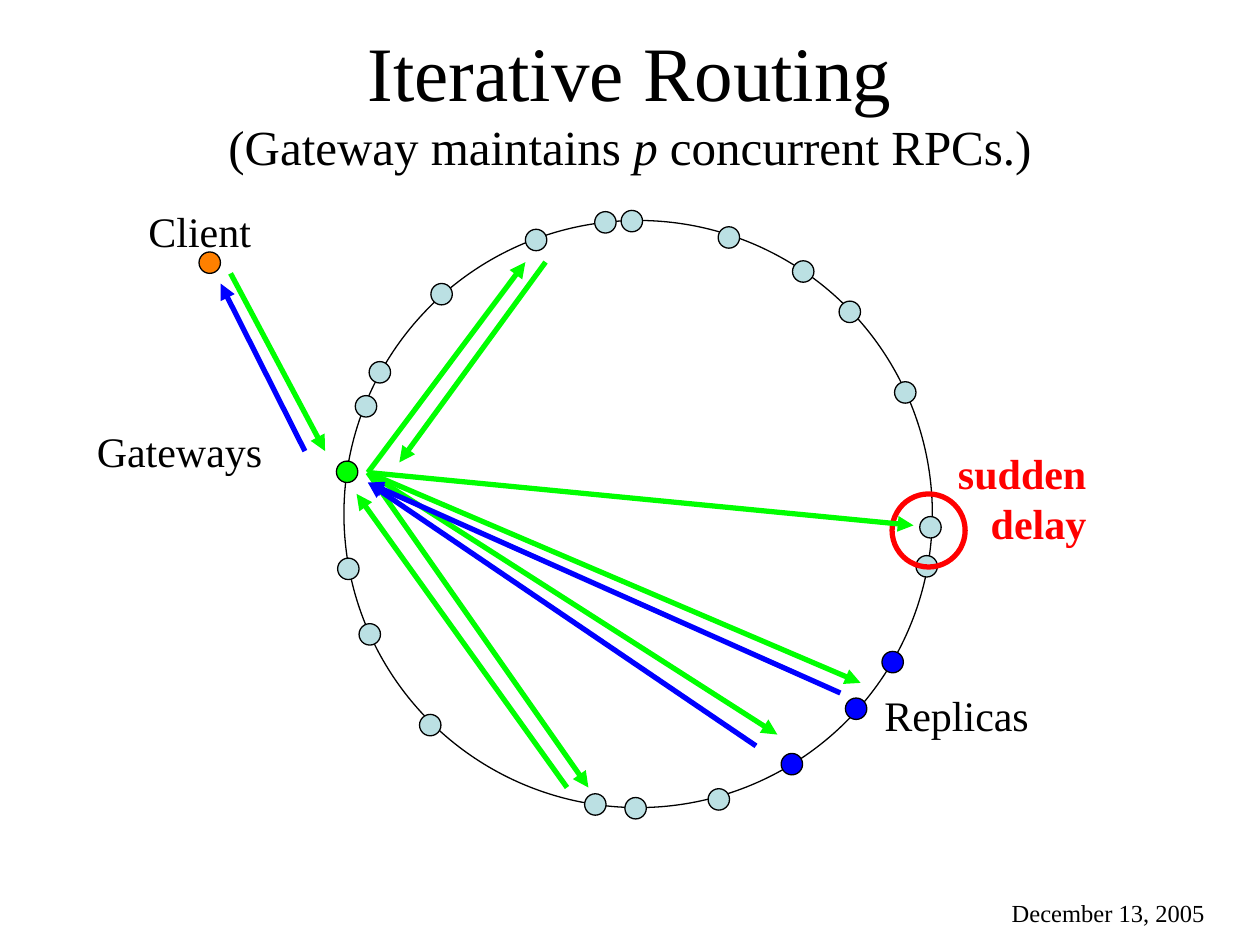
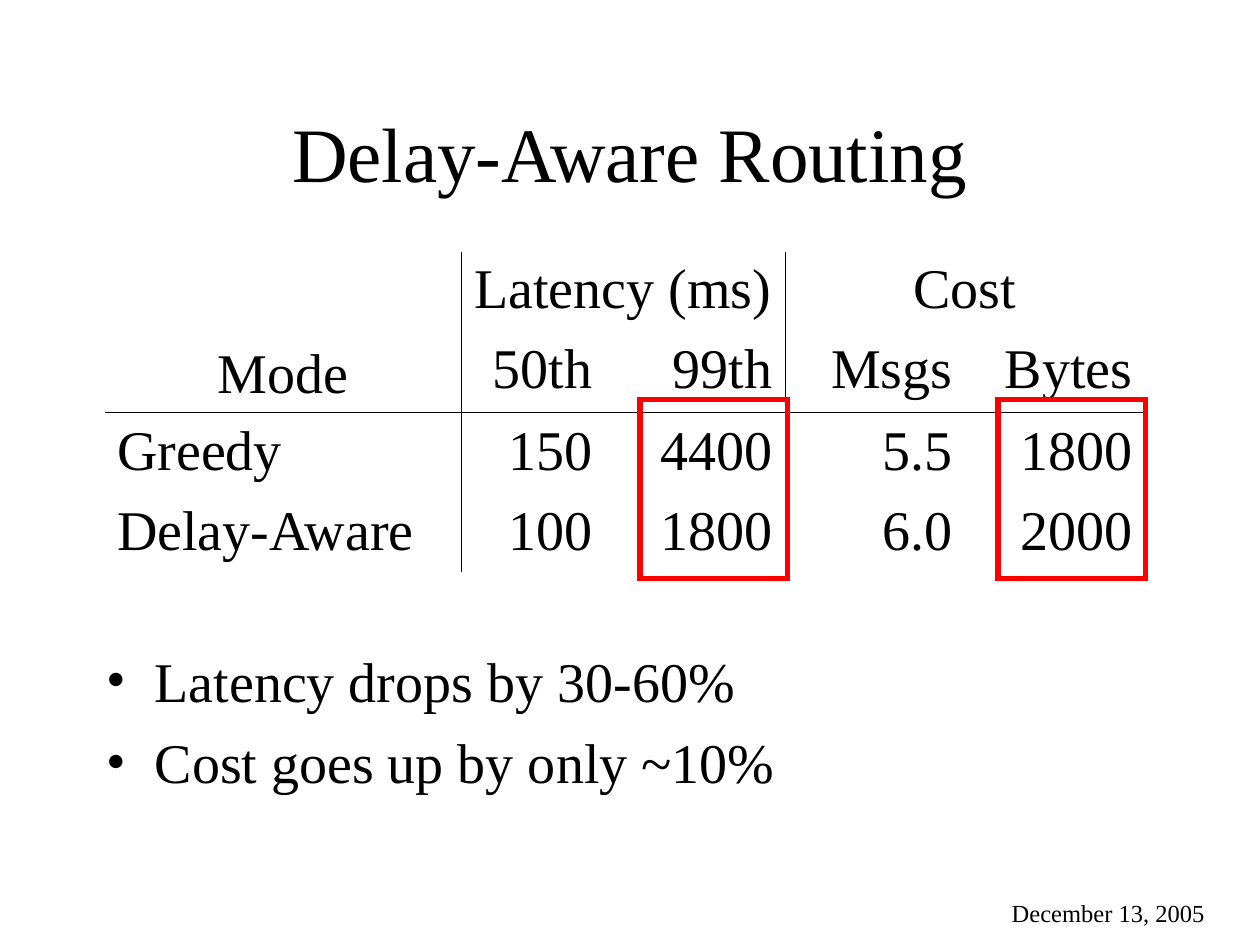
from lxml.etree import SubElement
from pptx import Presentation
from pptx.dml.color import RGBColor
from pptx.enum.shapes import MSO_CONNECTOR, MSO_SHAPE
from pptx.enum.text import MSO_ANCHOR, PP_ALIGN
from pptx.oxml import parse_xml
from pptx.oxml.ns import nsdecls, qn
from pptx.util import Inches, Pt

COLORS = {
    "text": "000000",
    "node": "BBE0E3",
    "request": "00FF00",
    "reply": "0000FF",
    "client": "FF8000",
    "alert": "FF0000",
}
FONT = "Times New Roman"
NO_GRID_STYLE = "{2D5ABB26-0587-4C30-8999-92F81FD0307C}"
DOT = 0.17

NODES = [
    (2.82, 3.14), (2.68, 4.43), (2.85, 4.95), (4.64, 6.3), (4.96, 6.33),
    (5.62, 6.26), (2.93, 2.87), (4.72, 1.68), (4.93, 1.67), (5.7, 1.8),
    (6.29, 2.07), (6.66, 2.39), (7.1, 3.03), (7.3, 4.1), (7.27, 4.41),
    (4.17, 1.82), (3.42, 2.25), (3.33, 5.67),
]
REPLICAS = [(6.71, 5.54), (6.2, 5.98), (7, 5.17)]
GATEWAY_OUT = (2.92, 3.75)
GATEWAY_IN = (2.92, 3.83)
LOOKUP_TARGETS = [(7.25, 4.17), (4.67, 6.25), (4.17, 2.08), (6.83, 5.42), (6.17, 5.83)]
LOOKUP_ANSWERS = [((4.33, 2.08), (3.17, 3.67)), ((4.5, 6.25), (2.83, 3.92))]
REPLICA_REPLIES = [(6.67, 5.5), (6, 5.92)]

RESULTS = [
    ["Mode", "Latency (ms)", "", "Cost", ""],
    ["", "50th", "99th", "Msgs", "Bytes"],
    ["Greedy", "150", "4400", "5.5", "1800"],
    ["Delay-Aware", "100", "1800", "6.0", "2000"],
]
COLUMN_WIDTHS = [2.83, 1.14, 1.43, 1.43, 1.43]
TABLE_HEIGHT = 2.54


def rgb(name):
    return RGBColor.from_string(COLORS[name])


def write(tf, paragraphs, size=24, color="text", bold=False,
          align=PP_ALIGN.LEFT, bullet=False, space=0):
    for i, runs in enumerate(paragraphs):
        p = tf.paragraphs[0] if i == 0 else tf.add_paragraph()
        if bullet:
            pPr = p._p.get_or_add_pPr()
            pPr.set("marL", str(Inches(0.38)))
            pPr.set("indent", str(-Inches(0.38)))
            SubElement(pPr, qn("a:buFont")).set("typeface", FONT)
            SubElement(pPr, qn("a:buChar")).set("char", "•")
        p.alignment = align
        if i:
            p.space_before = Pt(space)
        for run in [(runs, {})] if isinstance(runs, str) else runs:
            if run == "\n":
                p.add_line_break()
                continue
            text, fmt = run
            r = p.add_run()
            r.text = text
            r.font.name = FONT
            r.font.size = Pt(fmt.get("size", size))
            r.font.bold = bold
            r.font.italic = fmt.get("italic", False)
            r.font.color.rgb = rgb(color)


def add_text(s, paragraphs, x, y, w, h, anchor=MSO_ANCHOR.TOP, **fmt):
    tf = s.shapes.add_textbox(Inches(x), Inches(y), Inches(w), Inches(h)).text_frame
    tf.word_wrap = True
    tf.vertical_anchor = anchor
    write(tf, paragraphs, **fmt)


def add_outline(s, kind, x, y, w, h, line="text", width=0.75, fill=None):
    sp = s.shapes.add_shape(kind, Inches(x), Inches(y), Inches(w), Inches(h))
    sp.shadow.inherit = False
    if fill:
        sp.fill.solid()
        sp.fill.fore_color.rgb = rgb(fill)
    else:
        sp.fill.background()
    sp.line.color.rgb = rgb(line)
    sp.line.width = Pt(width)
    SubElement(sp.line._get_or_add_ln(), qn("a:miter")).set("lim", "800000")


def add_dot(s, x, y, fill):
    add_outline(s, MSO_SHAPE.OVAL, x, y, DOT, DOT, fill=fill)


def add_arrow(s, start, end, color):
    c = s.shapes.add_connector(MSO_CONNECTOR.STRAIGHT, *map(Inches, start + end))
    c.line.color.rgb = rgb(color)
    c.line.width = Pt(3)
    SubElement(c.line._get_or_add_ln(), qn("a:tailEnd")).set("type", "triangle")
    SubElement(c._element.spPr, qn("a:effectLst"))


def set_borders(cell, row, col):
    drawn = {"L": col in (1, 3), "R": col in (0, 2), "T": row == 2, "B": row == 1}
    if cell.is_merge_origin and col == 0:
        drawn["B"] = True
    solid = f'<a:solidFill><a:srgbClr val="{COLORS["text"]}"/></a:solidFill>'
    tcPr = cell._tc.get_or_add_tcPr()
    for i, (side, visible) in enumerate(drawn.items()):
        tcPr.insert(i, parse_xml(
            f'<a:ln{side} {nsdecls("a")} w="{Pt(0.45)}">'
            f'{solid if visible else "<a:noFill/>"}</a:ln{side}>'))


def add_results_table(s, x, y):
    size = [sum(COLUMN_WIDTHS), TABLE_HEIGHT]
    frame = s.shapes.add_table(len(RESULTS), len(COLUMN_WIDTHS), *map(Inches, [x, y] + size))
    table = frame.table
    table.first_row = table.horz_banding = False
    table._tbl.tblPr.find(qn("a:tableStyleId")).text = NO_GRID_STYLE
    for column, width in zip(table.columns, COLUMN_WIDTHS):
        column.width = Inches(width)
    for first, last in [((0, 0), (1, 0)), ((0, 1), (0, 2)), ((0, 3), (0, 4))]:
        table.cell(*first).merge(table.cell(*last))
    for row, values in enumerate(RESULTS):
        table.rows[row].height = Inches(TABLE_HEIGHT / len(RESULTS))
        for col, value in enumerate(values):
            cell = table.cell(row, col)
            cell.fill.background()
            set_borders(cell, row, col)
            cell.vertical_anchor = MSO_ANCHOR.MIDDLE if row > 1 else MSO_ANCHOR.TOP
            if value:
                align = PP_ALIGN.LEFT if col == 0 else PP_ALIGN.RIGHT
                write(cell.text_frame, [value], size=32,
                      align=PP_ALIGN.CENTER if row == 0 else align)
    table.cell(0, 0).vertical_anchor = MSO_ANCHOR.BOTTOM


def new_slide(prs, title, title_top):
    s = prs.slides.add_slide(prs.slide_layouts[6])
    add_text(s, ["December 13, 2005"], 7.58, 7.08, 2.08, 0.25, size=14, align=PP_ALIGN.RIGHT)
    add_text(s, [title], 0.75, title_top, 8.5, 1.25, size=44,
             align=PP_ALIGN.CENTER, anchor=MSO_ANCHOR.MIDDLE)
    return s


def iterative_routing(prs):
    small = {"size": 28}
    s = new_slide(prs, [
        ("Iterative Routing", {}), "\n", ("(Gateway maintains ", small),
        ("p", {"size": 28, "italic": True}), (" concurrent RPCs.)", small)], 0.17)
    add_outline(s, MSO_SHAPE.OVAL, 2.73, 1.75, 4.67, 4.66)
    for fill, places in [("request", [(2.67, 3.66)]), ("node", NODES),
                         ("reply", REPLICAS), ("client", [(1.58, 2)])]:
        for x, y in places:
            add_dot(s, x, y, fill)
    for label, x, y, w in [("Gateways", 0.67, 3.33, 1.6), ("Replicas", 6.92, 5.42, 1.45),
                           ("Client", 1.08, 1.58, 1.1)]:
        add_text(s, [label], x, y, w, 0.5)
    add_outline(s, MSO_SHAPE.OVAL, 7.08, 3.92, 0.58, 0.58, line="alert", width=3)
    add_text(s, ["sudden", "delay"], 7.4, 3.5, 1.32, 0.9,
             color="alert", bold=True, align=PP_ALIGN.RIGHT)
    add_arrow(s, (1.83, 2.17), (2.58, 3.58), "request")
    for target in LOOKUP_TARGETS:
        add_arrow(s, GATEWAY_OUT, target, "request")
    for start, end in LOOKUP_ANSWERS:
        add_arrow(s, start, end, "request")
    add_arrow(s, (2.42, 3.58), (1.75, 2.25), "reply")
    for start in REPLICA_REPLIES:
        add_arrow(s, start, GATEWAY_IN, "reply")


def delay_aware_routing(prs):
    s = new_slide(prs, "Delay-Aware Routing", 0.58)
    add_results_table(s, 0.83, 2)
    add_text(s, ["Latency drops by 30-60%", "Cost goes up by only ~10%"],
             0.75, 5.08, 8.5, 1.75, size=32, bullet=True, space=8)
    for x in (5.08, 7.92):
        add_outline(s, MSO_SHAPE.RECTANGLE, x, 3.17, 1.17, 1.42, line="alert", width=3)


def main():
    prs = Presentation()
    prs.slide_width, prs.slide_height = Inches(10), Inches(7.5)
    iterative_routing(prs)
    delay_aware_routing(prs)
    prs.save("out.pptx")


if __name__ == "__main__":
    main()
